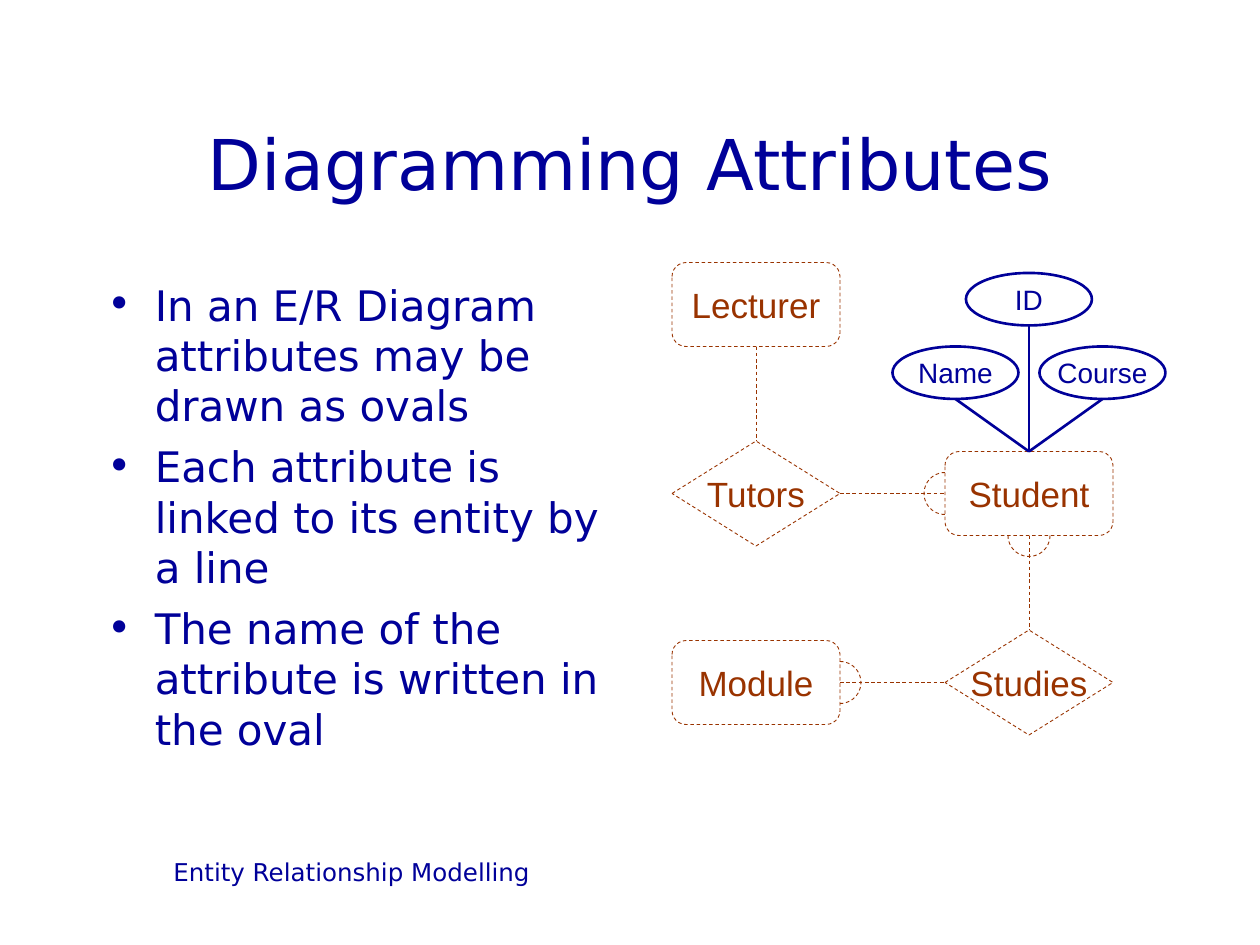
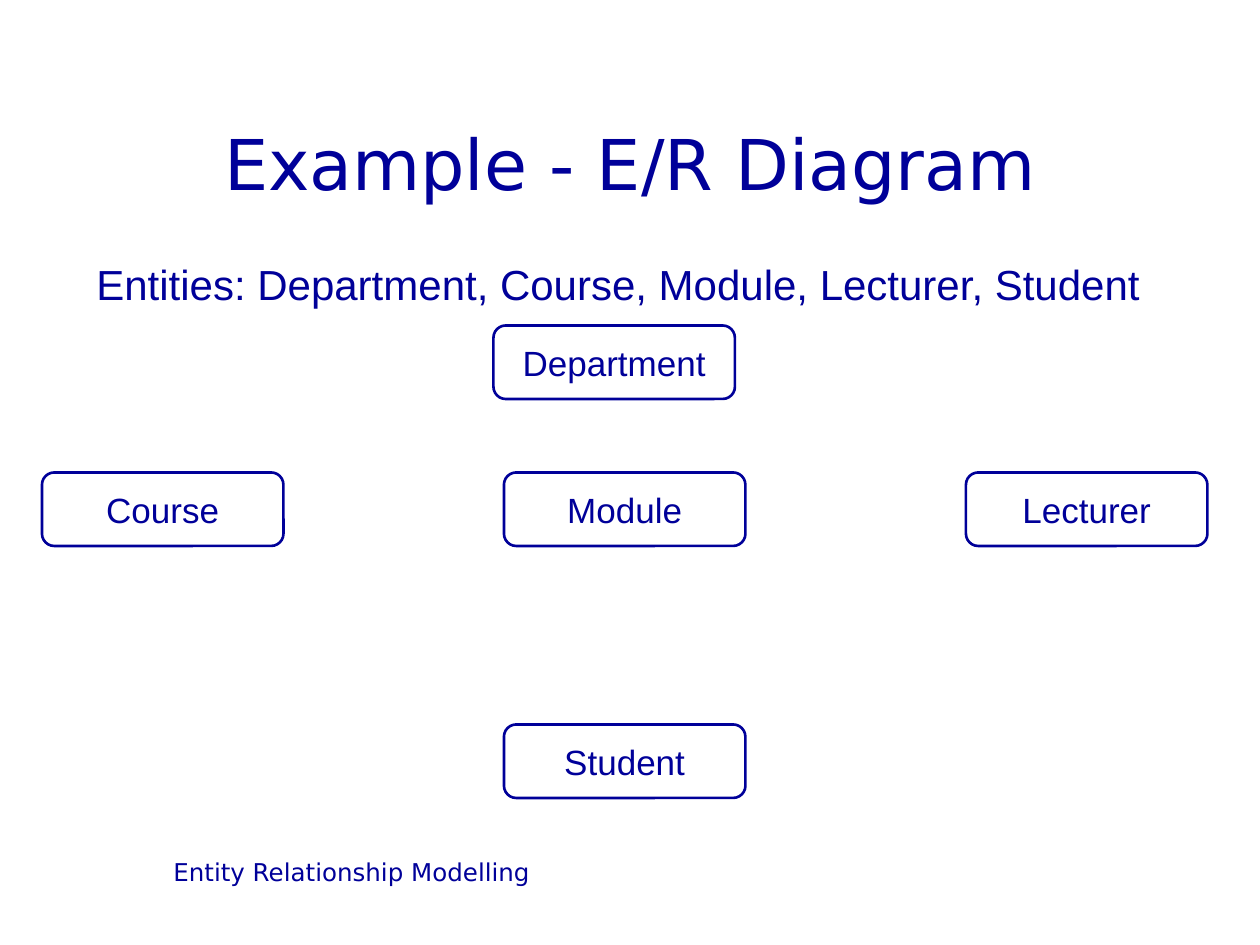
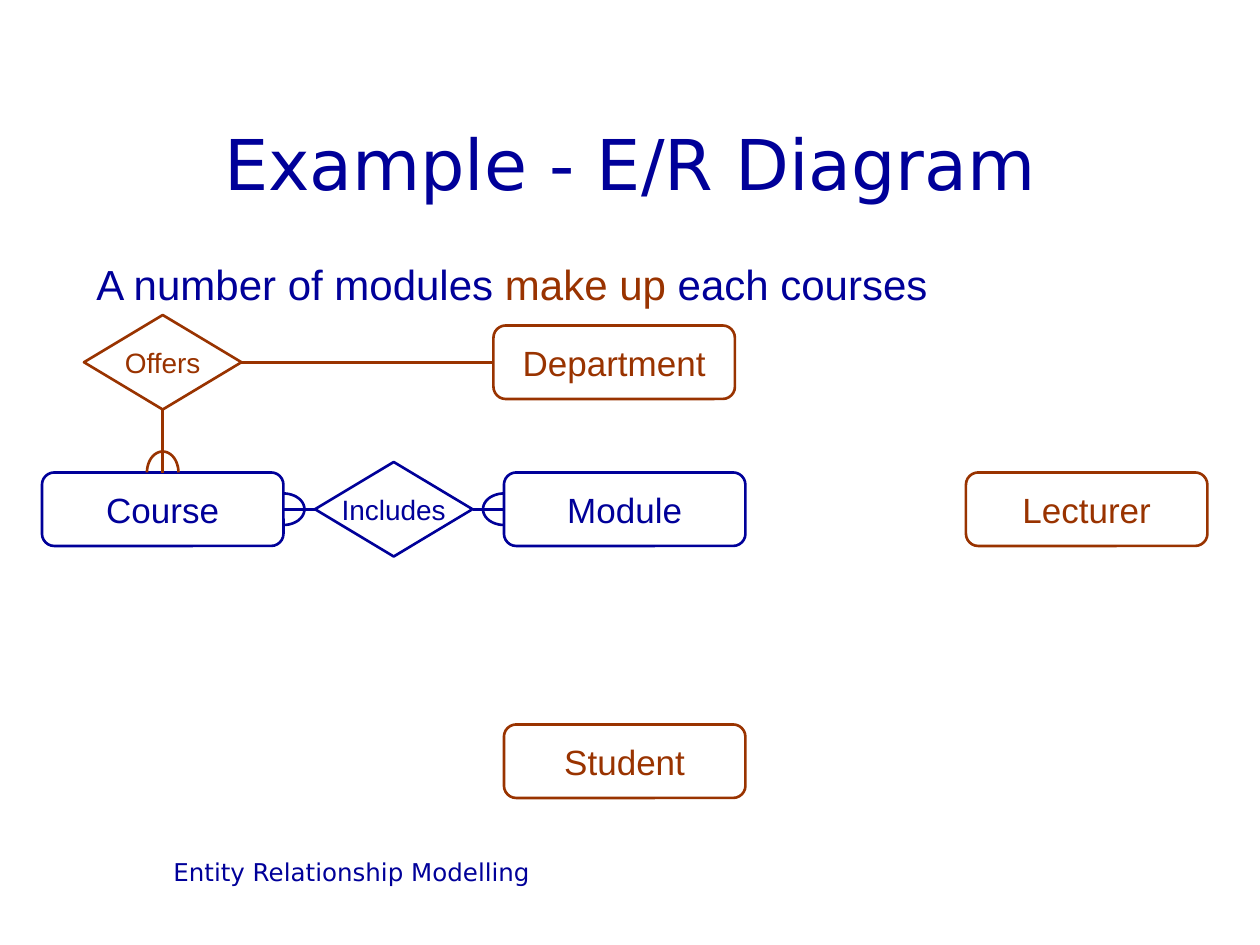
from math import cos, pi, sin
from lxml.etree import SubElement
from pptx import Presentation
from pptx.dml.color import RGBColor
from pptx.enum.dml import MSO_LINE
from pptx.enum.shapes import MSO_CONNECTOR, MSO_SHAPE
from pptx.enum.text import MSO_ANCHOR, PP_ALIGN
from pptx.oxml.ns import qn
from pptx.util import Inches, Pt

# Content: nodes are name: (kind, column, row, tone)
FOOTER = "Entity Relationship Modelling"
EXAMPLE = "Example - E/R Diagram"
BULLETS = [
    "In an E/R Diagram attributes may be drawn as ovals",
    "Each attribute is linked to its entity by a line",
    "The name of the attribute is written in the oval",
]
PLACES = {"Module": (48, 45), "Course": (4, 45), "Department": (47, 31),
          "Student": (48, 69), "Lecturer": (92, 45)}


def cast(tones):
    """Place the five entities, navy unless a tone is given."""
    return {name: ("entity", *spot, tones.get(name, "navy"))
            for name, spot in PLACES.items()}


# Links are (node, side, node, side, tone); arcs are (node, side, tone)
SLIDES = [
    {
        "title": "Diagramming Attributes",
        "bullets": BULLETS,
        "sizes": {"entity": (16, 8), "relation": (16, 10), "oval": (12, 5)},
        "points": {"entity": 20, "relation": 20, "oval": 16},
        "nodes": {
            "Student": ("entity", 90, 43, "faint"),
            "Lecturer": ("entity", 64, 25, "faint"),
            "Module": ("entity", 64, 61, "faint"),
            "Tutors": ("relation", 64, 42, "faint"),
            "Studies": ("relation", 90, 60, "faint"),
            "ID": ("oval", 92, 26, "navy"),
            "Course": ("oval", 99, 33, "navy"),
            "Name": ("oval", 85, 33, "navy"),
        },
        "links": [
            ("Lecturer", "down", "Tutors", "up", "faint"),
            ("Tutors", "right", "Student", "left", "faint"),
            ("Student", "down", "Studies", "up", "faint"),
            ("Module", "right", "Studies", "left", "faint"),
            ("Student", "up", "Course", "down", "navy"),
            ("Student", "up", "ID", "down", "navy"),
            ("Student", "up", "Name", "down", "navy"),
        ],
        "arcs": [("Module", "right", "faint"), ("Student", "left", "faint"),
                 ("Student", "down", "faint")],
        "half": 2,
    },
    {
        "title": EXAMPLE,
        "lead": [("Entities: Department, Course, Module, Lecturer, Student",
                  "navy")],
        "nodes": cast({}),
    },
    {
        "title": EXAMPLE,
        "lead": [("A number of modules ", "navy"), ("make up", "rust"),
                 (" each courses", "navy")],
        "nodes": {
            **cast(dict.fromkeys(("Department", "Student", "Lecturer"), "rust")),
            "Includes": ("relation", 30, 44, "navy"),
            "Offers": ("relation", 8, 30, "rust"),
        },
        "links": [
            ("Course", "right", "Includes", "left", "navy"),
            ("Includes", "right", "Module", "left", "navy"),
            ("Department", "left", "Offers", "right", "rust"),
            ("Offers", "down", "Course", "up", "rust"),
        ],
        "arcs": [("Module", "left", "navy"), ("Course", "up", "rust"),
                 ("Course", "right", "navy")],
    },
]


# Theme: a tone is (colour, line width, dash)
class Theme:
    navy, rust = RGBColor(0, 0, 0x99), RGBColor(0x99, 0x33, 0)
    tones = {"navy": (navy, 1.5, None), "rust": (rust, 1.5, None),
             "faint": (rust, 0.51, MSO_LINE.DASH)}
    head, body, foot = 40, 24, 14
    sans, plain = "DejaVu Sans", "Arial"
    sizes = {"entity": (23, 7), "relation": (15, 9)}
    points = {"entity": 20, "relation": 16}


KINDS = {"entity": MSO_SHAPE.ROUNDED_RECTANGLE, "relation": MSO_SHAPE.DIAMOND,
         "oval": MSO_SHAPE.OVAL}
SIDES = {"up": (0, -1), "down": (0, 1), "left": (-1, 0), "right": (1, 0)}
DEPTH, STEPS = 2, 24

# Grid: 120 columns by 90 rows of square cells
deck = Presentation()
deck.slide_width, deck.slide_height = Inches(10), Inches(7.5)
CELL = deck.slide_width / 120


def emu(*cells):
    return [round(n * CELL) for n in cells]


def write(para, runs, size, font):
    for text, tone in runs:
        run = para.add_run()
        run.text = text
        run.font.size, run.font.name = Pt(size), font
        run.font.color.rgb = Theme.tones[tone][0]


def add_text(page, box, paras, size, font, align=PP_ALIGN.LEFT,
             anchor=MSO_ANCHOR.TOP, space=0, bullet=False):
    frame = page.shapes.add_textbox(*emu(*box)).text_frame
    frame.word_wrap, frame.vertical_anchor = True, anchor
    for i, runs in enumerate(paras):
        para = frame.add_paragraph() if i else frame.paragraphs[0]
        para.alignment, para.space_before = align, Pt(space)
        write(para, runs, size, font)
        if bullet:
            props = para._p.get_or_add_pPr()
            props.set("marL", str(Inches(0.38)))
            props.set("indent", str(-Inches(0.38)))
            SubElement(props, qn("a:buFont")).set("typeface", font)
            SubElement(props, qn("a:buChar")).set("char", "•")


def stroke(line, tone):
    line.color.rgb, width, dash = Theme.tones[tone]
    line.width = Pt(width)
    if dash:
        line.dash_style = dash


def add_node(page, name, kind, box, tone, size):
    shape = page.shapes.add_shape(KINDS[kind], *emu(*box))
    shape.shadow.inherit = False
    shape.fill.background()
    stroke(shape.line, tone)
    frame = shape.text_frame
    frame.word_wrap, frame.vertical_anchor = False, MSO_ANCHOR.MIDDLE
    para = frame.paragraphs[0]
    para.alignment = PP_ALIGN.CENTER
    write(para, [(name, tone)], size, Theme.plain)


def port(box, side):
    """Middle of one side of a box."""
    x, y, w, h = box
    dx, dy = SIDES[side]
    return x + w * (1 + dx) / 2, y + h * (1 + dy) / 2


def add_link(page, start, end, tone):
    link = page.shapes.add_connector(MSO_CONNECTOR.STRAIGHT,
                                     *emu(*start, *end))
    stroke(link.line, tone)
    SubElement(link._element.spPr, qn("a:effectLst"))


def add_arc(page, box, side, half, tone):
    """Half an ellipse that bulges out from one side of a box."""
    x, y = port(box, side)
    dx, dy = SIDES[side]
    dots = []
    for i in range(STEPS + 1):
        turn = pi * (i / STEPS - 0.5)
        out, along = DEPTH * cos(turn), half * sin(turn)
        dots.append(emu(x + dx * out - dy * along, y + dy * out + dx * along))
    pen = page.shapes.build_freeform(*dots[0])
    pen.add_line_segments(dots[1:], close=False)
    arc = pen.convert_to_shape()
    arc.shadow.inherit = False
    arc.fill.background()
    stroke(arc.line, tone)


def build(data):
    page = deck.slides.add_slide(deck.slide_layouts[6])
    # Shared footer and title
    add_text(page, (9, 81, 49, 6), [[(FOOTER, "navy")]], Theme.foot,
             Theme.sans, PP_ALIGN.CENTER)
    add_text(page, (9, 8, 102, 15), [[(data["title"], "navy")]], Theme.head,
             Theme.sans, PP_ALIGN.CENTER, MSO_ANCHOR.MIDDLE)
    # Bullets or lead sentence
    if "bullets" in data:
        add_text(page, (9, 26, 50, 54), [[(t, "navy")] for t in data["bullets"]],
                 Theme.body, Theme.sans, space=6, bullet=True)
    if "lead" in data:
        add_text(page, (8, 24, 104, 6), [data["lead"]], Theme.body,
                 Theme.plain, space=15)
    # Diagram
    sizes = data.get("sizes", Theme.sizes)
    points = data.get("points", Theme.points)
    boxes = {}
    for name, (kind, col, row, tone) in data["nodes"].items():
        boxes[name] = (col, row, *sizes[kind])
        add_node(page, name, kind, boxes[name], tone, points[kind])
    for a, out, b, into, tone in data.get("links", []):
        add_link(page, port(boxes[a], out), port(boxes[b], into), tone)
    for name, side, tone in data.get("arcs", []):
        add_arc(page, boxes[name], side, data.get("half", 1.5), tone)


for data in SLIDES:
    build(data)
deck.save("out.pptx")
